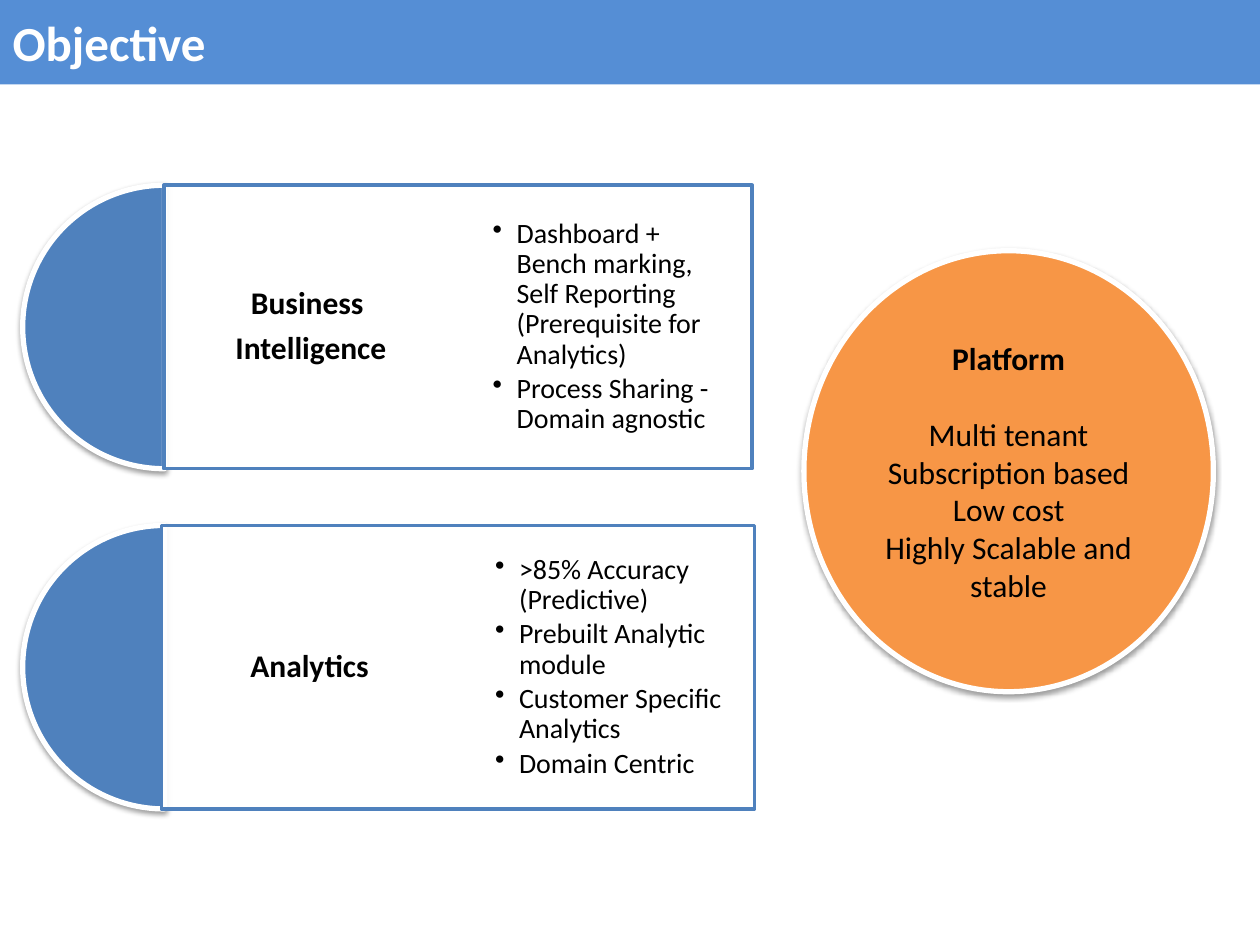
from dataclasses import dataclass

from lxml.etree import SubElement
from pptx import Presentation
from pptx.dml.color import RGBColor as Rgb
from pptx.enum.shapes import MSO_SHAPE as Preset
from pptx.enum.text import MSO_ANCHOR as Anchor
from pptx.enum.text import MSO_AUTO_SIZE as AutoSize
from pptx.enum.text import PP_ALIGN as Align
from pptx.oxml.ns import qn
from pptx.util import Inches, Pt


@dataclass(frozen=True)
class Theme:
    """Colours, font and type sizes of the slide."""
    banner: Rgb = Rgb(0x55, 0x8E, 0xD5)
    blue: Rgb = Rgb(0x4F, 0x81, 0xBD)
    orange: Rgb = Rgb(0xF7, 0x96, 0x46)
    white: Rgb = Rgb(0xFF, 0xFF, 0xFF)
    black: Rgb = Rgb(0, 0, 0)
    font: str = "Calibri"
    title_size: int = 28
    label_size: int = 18
    bullet_size: int = 16


THEME = Theme()
ROW_HEIGHT = 2.25

ROWS = [
    {
        "top": 1.47, "left": 1.3, "width": 4.67, "bullets_left": 3.64,
        "label": ["Business ", "Intelligence"],
        "bullets": [
            "Dashboard + Bench marking, Self Reporting (Prerequisite for Analytics)",
            "Process Sharing - Domain agnostic",
        ],
    },
    {
        "top": 4.17, "left": 1.28, "width": 4.71, "bullets_left": 3.66,
        "label": ["Analytics"],
        "bullets": [
            ">85% Accuracy (Predictive)",
            "Prebuilt Analytic module",
            "Customer Specific Analytics",
            "Domain Centric",
        ],
    },
]

PLATFORM_TRAITS = ["Multi tenant", "Subscription based", "Low cost",
                   "Highly Scalable and stable"]


def apply(target, values):
    """Set each attribute named in a dict of format values."""
    for name, value in values.items():
        setattr(target, name, value)


def inches(*lengths):
    """Convert numbers to lengths in inches."""
    return [Inches(length) for length in lengths]


def prepare_frame(frame, inset=None):
    """Make a text frame wrap and centre its text vertically."""
    apply(frame, {"word_wrap": True, "vertical_anchor": Anchor.MIDDLE,
                  "auto_size": AutoSize.NONE})
    if inset is not None:
        sides = ("left", "top", "right", "bottom")
        apply(frame, {f"margin_{side}": Inches(inset) for side in sides})


def write_lines(frame, lines, size, color=THEME.black, bold=False, **layout):
    """Write one paragraph per line in a common format."""
    for index, line in enumerate(lines):
        paragraph = frame.paragraphs[0] if index == 0 else frame.add_paragraph()
        run = paragraph.add_run()
        run.text = line
        apply(run.font, {"name": THEME.font, "size": Pt(size), "bold": bold})
        run.font.color.rgb = color
        apply(paragraph, layout)


def add_bullet(paragraph, indent=0.19):
    """Give a paragraph a hanging round bullet."""
    properties = paragraph._p.get_or_add_pPr()
    properties.set("marL", str(Inches(indent)))
    properties.set("indent", str(-Inches(indent)))
    SubElement(properties, qn("a:buChar"), char="•")


def add_alpha(color_parent, percent):
    """Set the opacity of the colour inside an element."""
    color = color_parent.find(qn("a:srgbClr"))
    SubElement(color, qn("a:alpha"), val=str(percent * 1000))


def add_soft_shadow(shape):
    """Cast a soft shadow straight down."""
    effects = shape._element.spPr.find(qn("a:effectLst"))
    shadow = SubElement(effects, qn("a:outerShdw"), blurRad=str(Pt(3.1)),
                        dist=str(Pt(1.6)), dir="5400000", rotWithShape="0")
    SubElement(shadow, qn("a:srgbClr"), val=str(THEME.black))
    add_alpha(shadow, 38)


def add_panel(slide, preset, box, fill, line, line_width):
    """Add a filled and outlined preset shape."""
    panel = slide.shapes.add_shape(preset, *inches(*box))
    panel.shadow.inherit = False
    panel.fill.solid()
    panel.fill.fore_color.rgb = fill
    panel.line.color.rgb = line
    panel.line.width = Pt(line_width)
    return panel


def add_text(slide, box, inset):
    """Add a text box and return its frame."""
    frame = slide.shapes.add_textbox(*inches(*box)).text_frame
    prepare_frame(frame, inset)
    return frame


def add_banner(slide, text):
    """Turn the title placeholder into the full-width banner."""
    banner = slide.shapes.title
    apply(banner, dict(zip(("left", "top", "width", "height"),
                           inches(0, 0, 10, 0.67))))
    banner.fill.solid()
    banner.fill.fore_color.rgb = THEME.banner
    prepare_frame(banner.text_frame)
    write_lines(banner.text_frame, [text], THEME.title_size, THEME.white,
                bold=True, alignment=Align.LEFT)


def add_row(slide, row):
    """Add a half disc with its framed label and bullet list."""
    top, left, width = row["top"], row["left"], row["width"]
    half_disc = add_panel(slide, Preset.PIE, (0.18, top, ROW_HEIGHT, ROW_HEIGHT),
                          THEME.blue, THEME.white, 3)
    half_disc.adjustments[0], half_disc.adjustments[1] = 54, 162
    add_soft_shadow(half_disc)

    card = add_panel(slide, Preset.RECTANGLE, (left, top, width, ROW_HEIGHT),
                     THEME.white, THEME.blue, 2)
    add_alpha(card._element.spPr.find(qn("a:solidFill")), 90)

    label = add_text(slide, (left, top, width / 2, ROW_HEIGHT), 0.07)
    write_lines(label, row["label"], THEME.label_size, bold=True,
                alignment=Align.CENTER, line_spacing=0.9, space_after=Pt(6.3))

    bullets = add_text(
        slide, (row["bullets_left"], top, width / 2, ROW_HEIGHT), 0.27)
    write_lines(bullets, row["bullets"], THEME.bullet_size,
                line_spacing=0.9, space_after=Pt(2.4))
    for paragraph in bullets.paragraphs:
        add_bullet(paragraph)


def add_platform(slide):
    """Add the platform ellipse with its heading and traits."""
    platform = add_panel(slide, Preset.OVAL, (6.38, 1.99, 3.25, 3.5),
                         THEME.orange, THEME.white, 3)
    add_soft_shadow(platform)
    frame = platform.text_frame
    prepare_frame(frame)
    write_lines(frame, ["Platform", *PLATFORM_TRAITS], THEME.label_size,
                alignment=Align.CENTER)
    heading = frame.paragraphs[0]
    heading.space_after = Pt(22)
    heading.runs[0].font.bold = True


def main():
    """Build the slide and save it."""
    deck = Presentation()
    deck.slide_width, deck.slide_height = inches(10, 7.5)
    slide = deck.slides.add_slide(deck.slide_layouts.get_by_name("Title Only"))
    add_banner(slide, "Objective")
    for row in ROWS:
        add_row(slide, row)
    add_platform(slide)
    deck.save("out.pptx")


main()
